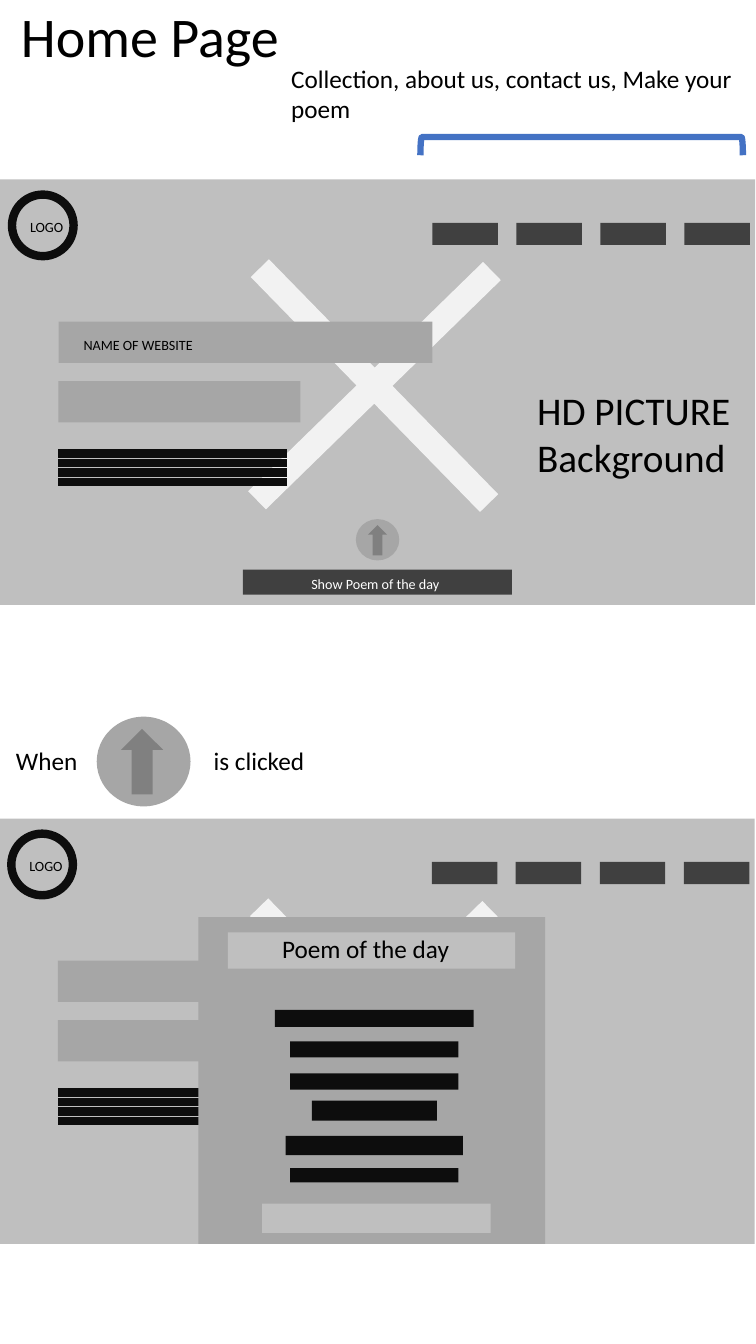
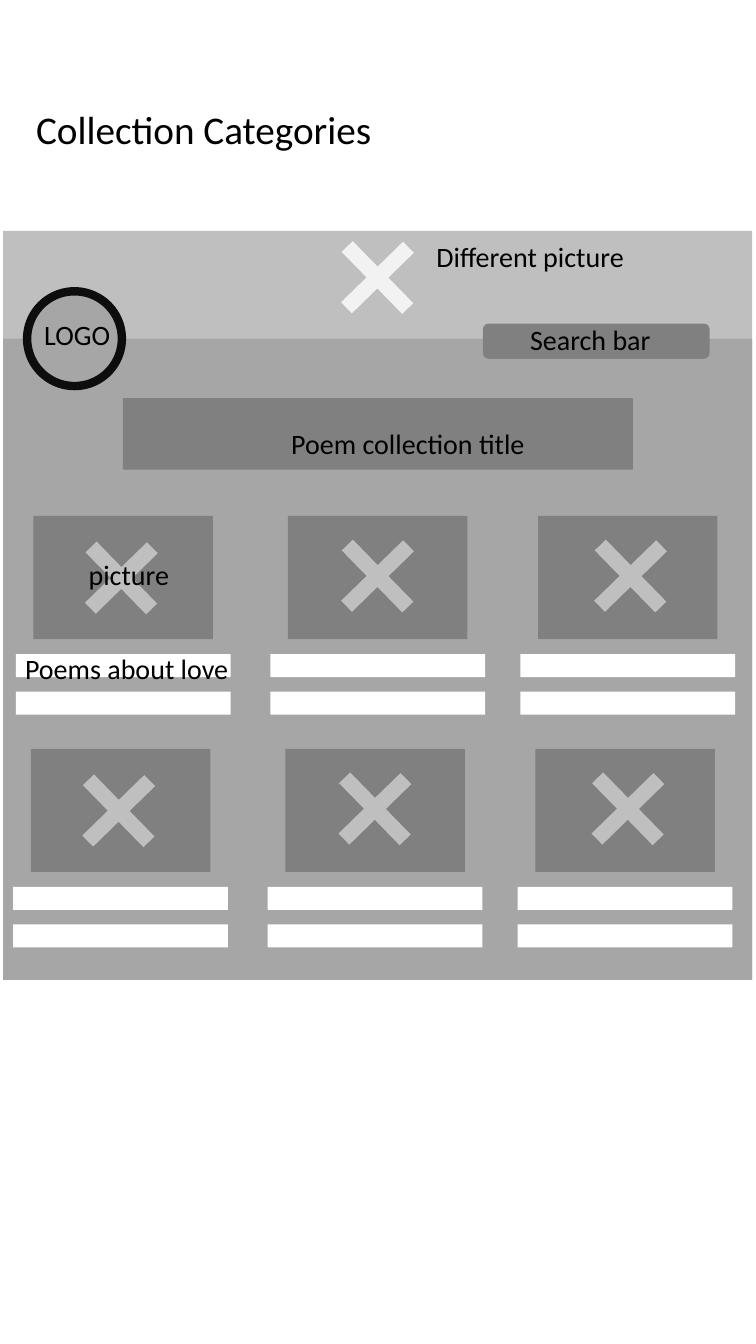
from dataclasses import dataclass
from lxml.etree import SubElement
from pptx import Presentation
from pptx.dml.color import RGBColor as Color
from pptx.enum.shapes import MSO_CONNECTOR as Connector, MSO_SHAPE as Preset
from pptx.enum.text import MSO_AUTO_SIZE as AutoSize
from pptx.oxml.ns import qn
from pptx.util import Pt


@dataclass(frozen=True)
class Theme:
    font: str = "Calibri"
    black: str = "000000"
    white: str = "FFFFFF"
    accent: str = "4472C4"
    pale: str = "F2F2F2"
    light: str = "BFBFBF"
    middle: str = "A6A6A6"
    grey: str = "808080"
    dark: str = "404040"
    ink: str = "0D0D0D"
    label: float = 10.1
    body: float = 18
    caption: float = 20
    heading: float = 28
    title: float = 40
    stroke: float = 6
    bracket: float = 4.5


class Mockup:
    """Draws wireframe elements on the current slide, in points."""

    def __init__(self, presentation, theme):
        self.presentation = presentation
        self.theme = theme
        self.slide = None

    def new_slide(self):
        layout = self.presentation.slide_layouts[6]
        self.slide = self.presentation.slides.add_slide(layout)

    def shape(self, left, top, width, height, fill=None, preset=Preset.RECTANGLE,
              line=None, weight=0, rotation=0):
        box = map(Pt, (left, top, width, height))
        shape = self.slide.shapes.add_shape(preset, *box)
        shape.shadow.inherit = False
        shape.rotation = rotation
        if fill:
            shape.fill.solid()
            shape.fill.fore_color.rgb = Color.from_string(fill)
        else:
            shape.fill.background()
        if line:
            shape.line.color.rgb = Color.from_string(line)
            shape.line.width = Pt(weight)
        else:
            shape.line.fill.background()
        return shape

    def text(self, left, top, width, height, wording, size, color=None,
             wrap=False, tab=None):
        box = map(Pt, (left, top, width, height))
        frame = self.slide.shapes.add_textbox(*box).text_frame
        frame.text = wording
        frame_format = {"word_wrap": wrap, "auto_size": AutoSize.SHAPE_TO_FIT_TEXT}
        for name, value in frame_format.items():
            setattr(frame, name, value)
        font_format = {"name": self.theme.font, "size": Pt(size)}
        for paragraph in frame.paragraphs:
            for run in paragraph.runs:
                for name, value in font_format.items():
                    setattr(run.font, name, value)
                run.font.color.rgb = Color.from_string(color or self.theme.black)
            if tab:
                properties = paragraph._p.get_or_add_pPr()
                stops = SubElement(properties, qn("a:tabLst"))
                SubElement(stops, qn("a:tab"), pos=str(Pt(tab)), algn="l")

    def rule(self, left, top, width):
        connector = self.slide.shapes.add_connector(
            Connector.STRAIGHT, Pt(left), Pt(top), Pt(left + width), Pt(top))
        connector.line.color.rgb = Color.from_string(self.theme.ink)
        connector.line.width = Pt(self.theme.stroke)
        SubElement(connector._element.spPr, qn("a:effectLst"))

    def cross(self, left, top, side, fill, thickness):
        cross = self.shape(left, top, side, side, fill, Preset.MATH_PLUS, rotation=45.7)
        cross.adjustments[0] = thickness

    def ring(self, left, top, side, fill=None):
        self.shape(left, top, side, side, fill, Preset.OVAL,
                   self.theme.ink, self.theme.stroke)

    def arrow_button(self, circle, arrow):
        self.shape(*circle, self.theme.middle, Preset.OVAL)
        self.shape(*arrow, self.theme.grey, Preset.UP_ARROW)

    def home_screen(self, left, top):
        theme = self.theme
        self.shape(left, top, 540, 303.8, theme.light)
        self.cross(left + 108.5, top - 12.2, 319, theme.pale, 0.057)
        for bar_top, width in ((101.5, 267), (144, 172.8)):
            self.shape(left + 42.3, top + bar_top, width, 29.5, theme.middle)
        for index in range(4):
            self.rule(left + 42.3, top + 195.8 + 6.7 * index, 163.4)
        self.ring(left + 9.1, top + 10.8, 44)
        for index in range(4):
            self.shape(left + 309.4 + 60 * index, top + 31, 46.8, 15.8, theme.dark)
        self.text(left + 14.9, top + 24.5, 38.9, 19.4, "LOGO", theme.label)

    def card(self, left, top, cross_left, cross_top):
        theme = self.theme
        self.shape(left, top, 128.2, 88, theme.grey)
        for offset in (98.6, 125.4):
            self.shape(left - 12.6, top + offset, 153.4, 16.4, theme.white)
        self.cross(left + cross_left, top + cross_top, 84.2, theme.light, 0.131)


theme = Theme()
presentation = Presentation()
presentation.slide_width = Pt(540)
presentation.slide_height = Pt(960)
mockup = Mockup(presentation, theme)

# Home page: navigation note and first screen
mockup.new_slide()
mockup.shape(409, -10.8, 13, 230.4, preset=Preset.RIGHT_BRACKET,
             line=theme.accent, weight=theme.bracket, rotation=270)
mockup.text(200.9, 41.8, 339.1, 51,
            "Collection, about us, contact us, Make your poem", theme.body, wrap=True)
mockup.home_screen(-0.5, 128.2)
mockup.arrow_button((254.2, 370.8, 31, 29.5), (262.8, 375.1, 13.7, 21.6))
mockup.shape(173.5, 406.8, 192.2, 18, theme.dark)
mockup.text(52.6, 236.9, 93.6, 19.4, "NAME OF WEBSITE", theme.label)
mockup.text(215.3, 407.5, 108, 19.4, "Show Poem of the day", theme.label, theme.white)
mockup.text(7.9, -2.2, 200.9, 55.4, "Home Page", theme.title)

# Home page: screen with the poem panel open
mockup.home_screen(-1, 584.7)
mockup.shape(141.8, 655.2, 247.7, 233.3, theme.middle)
mockup.arrow_button((69.1, 511.9, 67, 64.1), (86.4, 520.6, 30.2, 46.8))
mockup.text(4.3, 528.5, 224.6, 28.8, "When\tis clicked", theme.body, wrap=True, tab=141.2)
mockup.shape(162.7, 666, 205.2, 25.9, theme.light)
mockup.text(194.4, 663.1, 135.4, 28.8, "Poem of the day", theme.body, wrap=True)
poem_center = 267.4
poem_lines = ((721.4, 142, 12.2), (743.8, 120.2, 11.5), (766.8, 120.2, 11.5),
              (786.2, 89.3, 14.4), (811.4, 126.7, 13.7), (834.5, 120.2, 10.1))
for top, width, height in poem_lines:
    mockup.shape(poem_center - width / 2, top, width, height, theme.ink)
mockup.shape(187.2, 859.7, 163.4, 20.9, theme.light)
mockup.text(376.6, 272.2, 163.4, 74.9, "HD PICTURE\nBackground", theme.heading, wrap=True)

# Collection categories: page and header
mockup.new_slide()
mockup.shape(2.2, 164.9, 535, 535, theme.light)
mockup.cross(227.5, 156.2, 84.2, theme.pale, 0.131)
mockup.shape(2.2, 241.9, 535, 458, theme.middle)
mockup.ring(19.4, 208.1, 67.7, theme.middle)
mockup.shape(87.8, 284.4, 364.3, 51.1, theme.grey)

# Collection categories: grid of cards
columns = ((23.9, 20.7, 2.2), (205.7, 21.9, 0.8), (384.3, 24, 0.8))
for row in range(2):
    for left, cross_left, cross_top in columns:
        mockup.card(left - 1.9 * row, 368.6 + 166.3 * row, cross_left, cross_top)

# Collection categories: search bar and labels
mockup.shape(344.9, 231.1, 162, 25.2, theme.grey, Preset.ROUNDED_RECTANGLE)
labels = (
    (56.2, 394.6, 72.7, "picture"),
    (10.8, 461.5, 165.6, "Poems about love "),
    (200.9, 301, 183.6, "Poem collection title"),
    (24.5, 223.2, 61.9, "LOGO"),
    (371.5, 226.8, 101.5, "Search bar"),
    (304.6, 167.8, 150.5, "Different picture"),
)
for left, top, width, wording in labels:
    mockup.text(left, top, width, 31.7, wording, theme.caption)
mockup.text(18.7, 72, 256.3, 41, "Collection Categories", theme.heading)

presentation.save("out.pptx")
